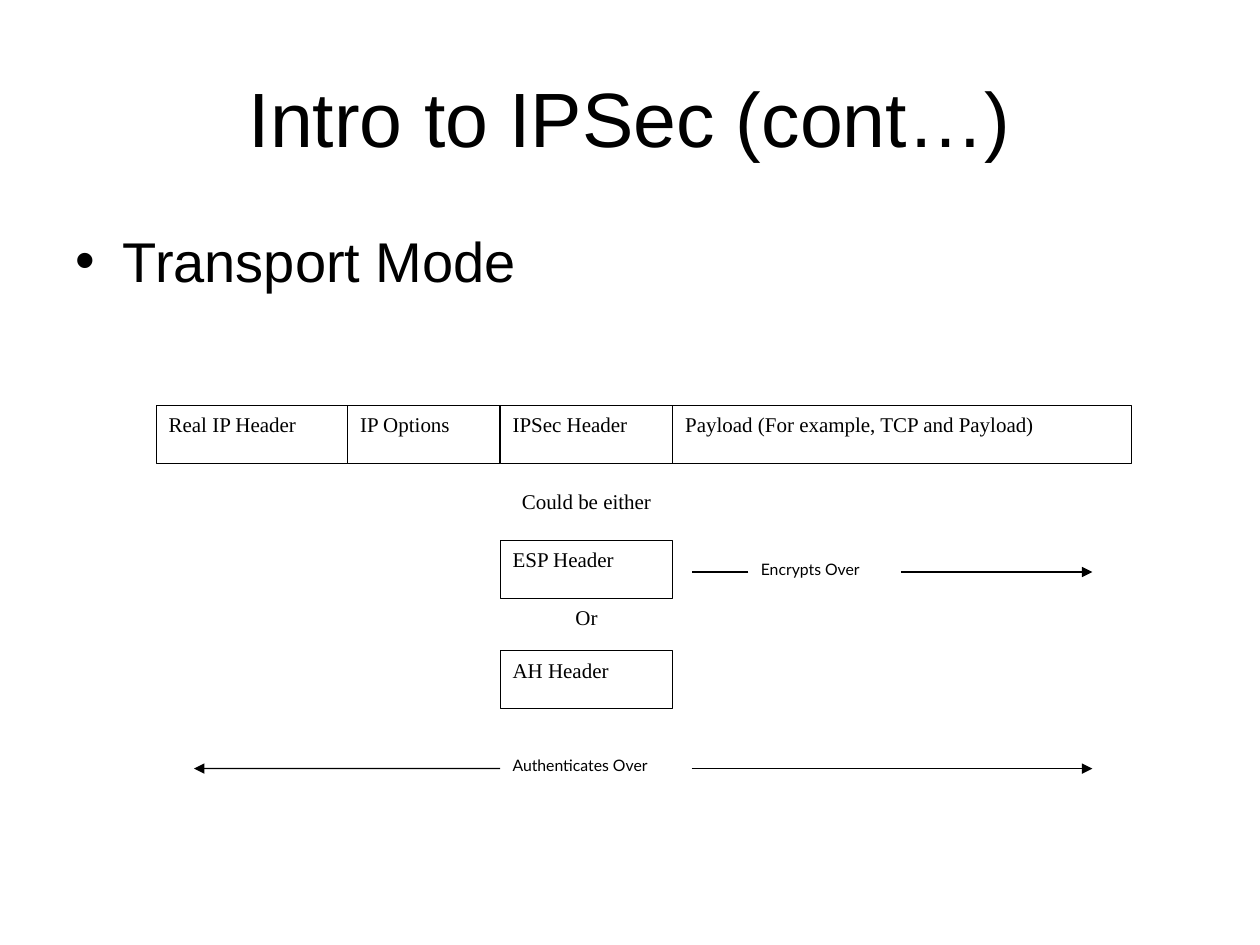
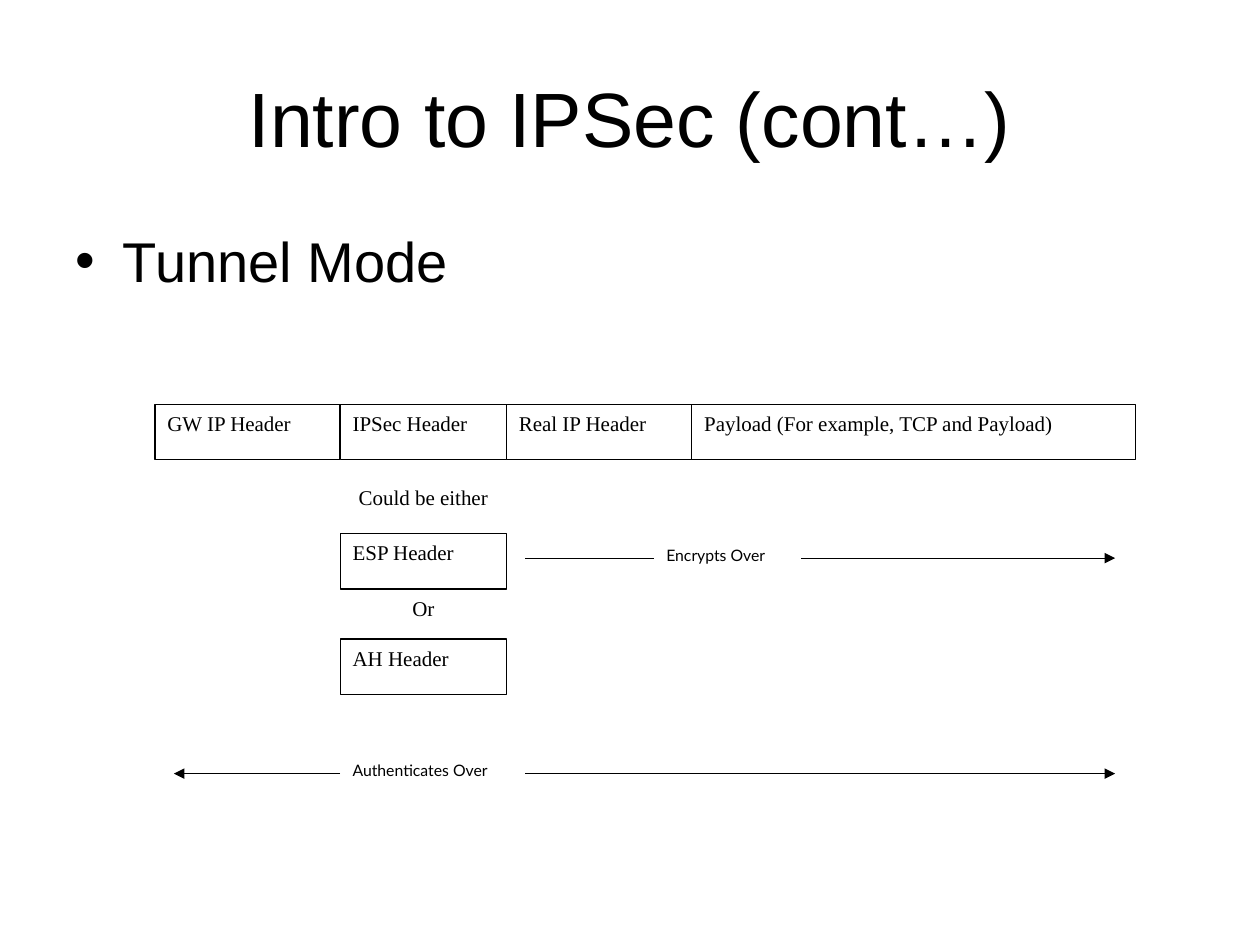
"""Build two slides that compare IPSec transport mode and tunnel mode."""
from lxml import etree
from pptx import Presentation
from pptx.dml.color import RGBColor
from pptx.enum.shapes import MSO_CONNECTOR, MSO_SHAPE
from pptx.enum.text import MSO_ANCHOR, PP_ALIGN
from pptx.oxml.ns import qn
from pptx.util import Inches, Pt

RECTANGLE = MSO_SHAPE.RECTANGLE
STRAIGHT = MSO_CONNECTOR.STRAIGHT
LEFT, CENTER = PP_ALIGN.LEFT, PP_ALIGN.CENTER
TOP, MIDDLE = MSO_ANCHOR.TOP, MSO_ANCHOR.MIDDLE
LEFT_SIDE, RIGHT_SIDE = 1, 3

BLACK, WHITE = "000000", "FFFFFF"
TITLE_FONT, PACKET_FONT, LABEL_FONT = "Arial", "Times New Roman", "Lato"
TITLE = "Intro to IPSec (cont…)"
LINE_WIDTH = Pt(0.75)
LABEL_HEIGHT = 0.3
ARROW_GAP = 0.15

TRANSPORT = {
    "mode": "Transport Mode",
    "left": 1.24, "top": 3.22, "height": 0.46,
    "fields": [("Real IP Header", 1.52), ("IP Options", 1.21), ("IPSec Header", 1.37),
               ("Payload (For example, TCP and Payload)", 3.64)],
    "caption_width": 1.52,
    "arrow_ends": (1.54, 8.67),
    "encrypts": (5.94, 1.21, 4.54),
    "authenticates": (1.67, 6.1),
}
TUNNEL = {
    "mode": "Tunnel Mode",
    "left": 1.23, "top": 3.21, "height": 0.44,
    "fields": [("GW IP Header", 1.47), ("IPSec Header", 1.32), ("Real IP Header", 1.47),
               ("Payload (For example, TCP and Payload)", 3.52)],
    "caption_width": 1.47,
    "arrow_ends": (1.38, 8.85),
    "encrypts": (5.19, 1.17, 4.43),
    "authenticates": (1.61, 6.14),
}


def color(hex_code):
    """Turn a hex string into a colour."""
    return RGBColor.from_string(hex_code)


def write(shape, text, *, font, size, align=LEFT, anchor=TOP):
    """Put one formatted paragraph into a shape."""
    frame = shape.text_frame
    frame.word_wrap = True
    frame.vertical_anchor = anchor
    frame.text = text
    paragraph = frame.paragraphs[0]
    paragraph.alignment = align
    paragraph.space_before = Pt(0)
    paragraph.font.name = font
    paragraph.font.size = Pt(size)
    paragraph.font.color.rgb = color(BLACK)


def fill_placeholder(placeholder, text, top, height, **text_format):
    """Move a full-width placeholder and write its text."""
    placeholder.left, placeholder.top = Inches(0.5), Inches(top)
    placeholder.width, placeholder.height = Inches(9), Inches(height)
    write(placeholder, text, font=TITLE_FONT, **text_format)


def add_box(slide, text, left, top, width, height, outlined=True, align=LEFT):
    """Add a white packet box or an unlined caption."""
    box = slide.shapes.add_shape(
        RECTANGLE, Inches(left), Inches(top), Inches(width), Inches(height))
    box.shadow.inherit = False
    box.fill.solid()
    box.fill.fore_color.rgb = color(WHITE)
    if outlined:
        box.line.color.rgb = color(BLACK)
        box.line.width = LINE_WIDTH
    else:
        box.line.fill.background()
    write(box, text, font=PACKET_FONT, size=12, align=align)


def add_label(slide, text, left, width, middle):
    """Add a small label centred vertically on an arrow."""
    label = slide.shapes.add_textbox(
        Inches(left), Inches(middle - LABEL_HEIGHT / 2), Inches(width), Inches(LABEL_HEIGHT))
    write(label, text, font=LABEL_FONT, size=9)
    return label


def add_line(slide, start, end, y, head=True, label=None, side=LEFT_SIDE):
    """Add a horizontal line, joined to a label side when one is given."""
    line = slide.shapes.add_connector(
        STRAIGHT, Inches(start), Inches(y), Inches(end), Inches(y))
    if label is not None:
        line.begin_connect(label, side)
    line.line.color.rgb = color(BLACK)
    line.line.width = LINE_WIDTH
    properties = line._element.spPr
    if head:
        etree.SubElement(properties.find(qn("a:ln")), qn("a:tailEnd"), type="triangle")
    etree.SubElement(properties, qn("a:effectLst"))


def add_packet(slide, layout):
    """Draw the packet row and the header choices; return the IPSec field's sides."""
    left, top, height = layout["left"], layout["top"], layout["height"]
    lefts = {}
    for name, width in layout["fields"]:
        add_box(slide, name, left, top, width, height)
        lefts[name] = left
        left += width
    header_left = lefts["IPSec Header"]
    header_width = dict(layout["fields"])["IPSec Header"]
    caption_top = top + 1.33 * height
    esp_top = caption_top + height
    or_top = esp_top + height
    caption_width = layout["caption_width"]
    caption_left = header_left + (header_width - caption_width) / 2
    add_box(slide, "Could be either", caption_left, caption_top, caption_width, height,
            outlined=False, align=CENTER)
    add_box(slide, "Or", header_left, or_top, header_width, height,
            outlined=False, align=CENTER)
    for name, box_top in (("ESP Header", esp_top), ("AH Header", or_top + 0.9 * height)):
        add_box(slide, name, header_left, box_top, header_width, height)
    return header_left, header_left + header_width


def add_coverage(slide, layout, header_left, header_right):
    """Draw the arrows that show what is encrypted and authenticated."""
    arrow_left, arrow_right = layout["arrow_ends"]
    after_header = header_right + ARROW_GAP

    label_left, width, y = layout["encrypts"]
    label = add_label(slide, "Encrypts Over", label_left, width, y)
    add_line(slide, label_left, after_header, y, head=False, label=label)
    add_line(slide, label_left + width, arrow_right, y, label=label, side=RIGHT_SIDE)

    width, y = layout["authenticates"]
    label = add_label(slide, "Authenticates Over", header_left, width, y)
    add_line(slide, header_left, arrow_left, y, label=label)
    add_line(slide, after_header, arrow_right, y)


def add_mode_slide(presentation, layout):
    """Add the slide for one IPSec mode."""
    slide = presentation.slides.add_slide(presentation.slide_layouts[1])
    fill_placeholder(slide.shapes.title, TITLE, 0.3, 1.25,
                     size=44, align=CENTER, anchor=MIDDLE)
    fill_placeholder(slide.placeholders[1], layout["mode"], 1.75, 4.95, size=32)
    add_coverage(slide, layout, *add_packet(slide, layout))


def main():
    """Build and save the presentation."""
    presentation = Presentation()
    presentation.slide_width, presentation.slide_height = Inches(10), Inches(7.5)
    for layout in (TRANSPORT, TUNNEL):
        add_mode_slide(presentation, layout)
    presentation.save("out.pptx")


if __name__ == "__main__":
    main()
